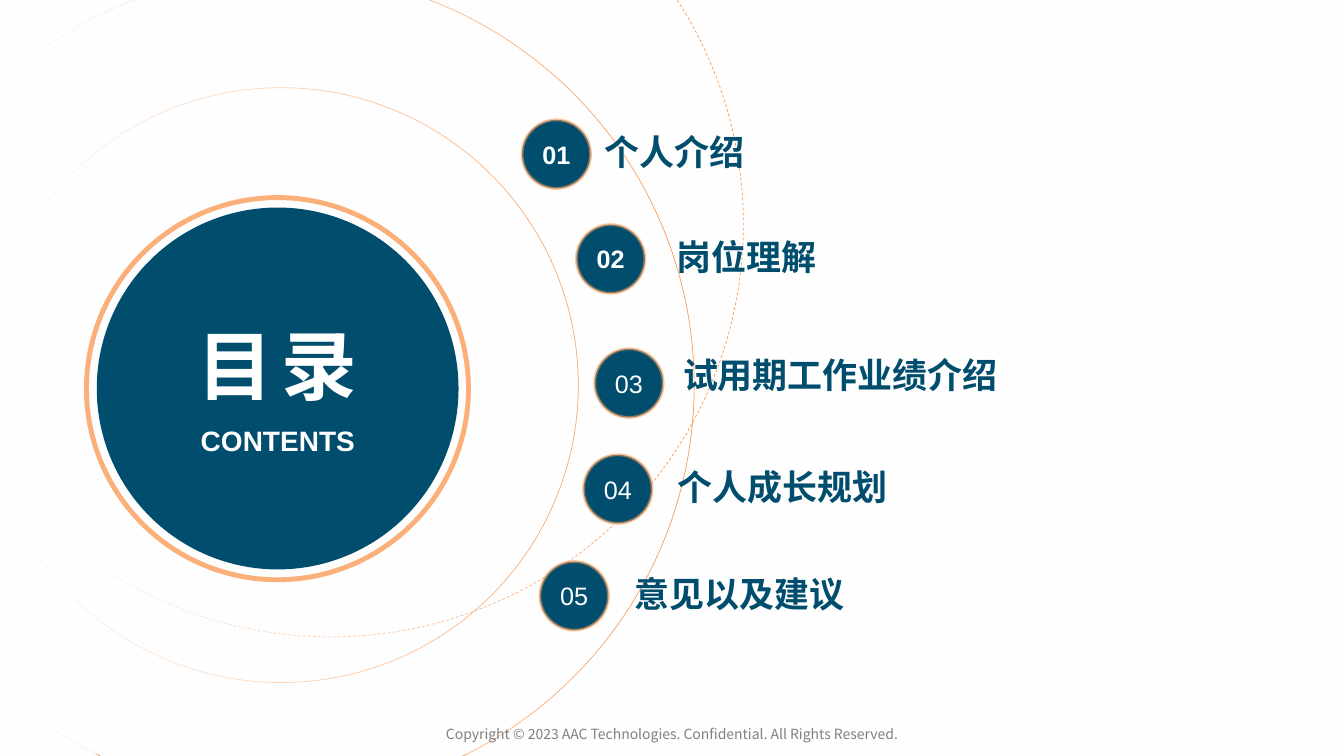
"""Builds the contents slide with a ringed title and five numbered topics."""
from lxml import etree
from pptx import Presentation
from pptx.dml.color import RGBColor
from pptx.enum.dml import MSO_LINE
from pptx.enum.shapes import MSO_SHAPE
from pptx.enum.text import MSO_ANCHOR, PP_ALIGN
from pptx.oxml import parse_xml
from pptx.oxml.ns import qn
from pptx.util import Cm, Pt

OVAL = MSO_SHAPE.OVAL
RECTANGLE = MSO_SHAPE.RECTANGLE
DASH = MSO_LINE.DASH
MIDDLE, TOP = MSO_ANCHOR.MIDDLE, MSO_ANCHOR.TOP
CENTER, LEFT = PP_ALIGN.CENTER, PP_ALIGN.LEFT
NAMESPACE = "http://schemas.openxmlformats.org/drawingml/2006/main"


def color(value):
    return RGBColor.from_string(value)


class ContentsSlide:
    navy, orange, white, gray = "004D6D", "FB9C58", "FFFFFF", "808080"
    latin_font, chinese_font = "Arial", "Noto Sans CJK SC"
    badge_size, label_height = 1.73, 1.6

    def __init__(self, presentation):
        self.slide = presentation.slides.add_slide(presentation.slide_layouts[6])

    def shape(self, kind, left, top, width, height):
        shape = self.slide.shapes.add_shape(kind, Cm(left), Cm(top), Cm(width), Cm(height))
        shape.shadow.inherit = False
        shape.fill.background()
        shape.line.fill.background()
        return shape

    def circle(self, left, top, size, fill=None, line_width=0, opacity=100, dash=None):
        shape = self.shape(OVAL, left, top, size, size)
        if fill:
            shape.fill.solid()
            shape.fill.fore_color.rgb = color(fill)
        if line_width:
            shape.line.color.rgb = color(self.orange)
            shape.line.width = Pt(line_width)
            shape.line.dash_style = dash
            line_color = shape._element.spPr.find(qn("a:ln")).find(".//" + qn("a:srgbClr"))
            etree.SubElement(line_color, qn("a:alpha"), val=str(opacity * 1000))
        return shape

    def white_fade(self, left, top, width, height, end_opacity, angle):
        shape = self.shape(RECTANGLE, left, top, width, height)
        properties = shape._element.spPr
        properties.replace(properties.find(qn("a:noFill")), parse_xml(
            f'<a:gradFill xmlns:a="{NAMESPACE}" rotWithShape="1"><a:gsLst>'
            f'<a:gs pos="0"><a:srgbClr val="{self.white}"/></a:gs>'
            f'<a:gs pos="100000"><a:srgbClr val="{self.white}">'
            f'<a:alpha val="{end_opacity * 1000}"/></a:srgbClr></a:gs>'
            f'</a:gsLst><a:lin ang="{angle * 60000}" scaled="0"/></a:gradFill>'))

    def set_text(self, shape, text, size, font, text_color, bold=False,
                 align=CENTER, anchor=MIDDLE, spacing=0):
        frame = shape.text_frame
        frame.text = text
        frame.word_wrap = True
        frame.vertical_anchor = anchor
        paragraph = frame.paragraphs[0]
        paragraph.alignment = align
        run = paragraph.runs[0]
        run.font.size = Pt(size)
        run.font.name = font
        run.font.bold = bold
        run.font.color.rgb = color(text_color)
        properties = run._r.get_or_add_rPr()
        etree.SubElement(properties, qn("a:ea"), typeface=font)
        if spacing:
            properties.set("spc", str(spacing * 100))

    def text(self, left, top, width, height, *content, **style):
        box = self.slide.shapes.add_textbox(Cm(left), Cm(top), Cm(width), Cm(height))
        self.set_text(box, *content, **style)
        return box

    def topic(self, number, title, badge_left, badge_top, label_left, label_top, label_width, bold):
        badge = self.circle(badge_left, badge_top, self.badge_size, self.navy, 2, 55)
        frame = badge.text_frame
        frame.margin_left = frame.margin_right = frame.margin_top = frame.margin_bottom = 0
        self.set_text(badge, f"{number:02}", 18, self.latin_font, self.white, bold)
        self.text(label_left, label_top, label_width, self.label_height,
                  title, 25, self.chinese_font, self.navy, True, align=LEFT)


def main():
    presentation = Presentation()
    presentation.slide_width, presentation.slide_height = Cm(33.88), Cm(19.05)
    page = ContentsSlide(presentation)

    page.white_fade(-0.08, 0, 33.93, 19.1, 72, 315)
    page.circle(-0.41, 2.21, 14.99, line_width=0.5)
    page.circle(-3.3, -0.69, 20.8, line_width=0.5)
    page.circle(-2.06, -4.75, 20.8, line_width=0.5, dash=DASH)
    page.white_fade(-0.08, -0.05, 16.99, 19.05, 0, 0)

    page.circle(2.18, 4.98, 9.63, line_width=3.5, opacity=80)
    page.circle(2.44, 5.23, 9.12, page.navy)
    heading = page.text(4.6, 7.92, 4.78, 2.57, "目录", 54, page.chinese_font,
                        page.white, True, anchor=TOP, spacing=6)
    heading.text_frame.word_wrap = False
    page.text(4.78, 10.54, 4.45, 1.12, "CONTENTS", 20, page.latin_font,
              page.white, True, anchor=TOP)
    page.text(7.92, 18.16, 18.03, 0.69,
              "Copyright © 2023 AAC Technologies. Confidential. All Rights Reserved.",
              10, page.chinese_font, page.gray, anchor=TOP)

    topics = [
        ("个人介绍", 13.16, 3.02, 14.99, 3.02, 7.11, True),
        ("岗位理解", 14.53, 5.66, 16.81, 5.66, 7.11, True),
        ("试用期工作业绩介绍", 14.99, 8.79, 16.97, 8.65, 10.72, False),
        ("个人成长规划", 14.71, 11.46, 16.84, 11.46, 8.79, False),
        ("意见以及建议", 13.61, 14.15, 15.75, 14.15, 8.79, False),
    ]
    for number, topic in enumerate(topics, start=1):
        page.topic(number, *topic)

    presentation.save("out.pptx")


if __name__ == "__main__":
    main()
